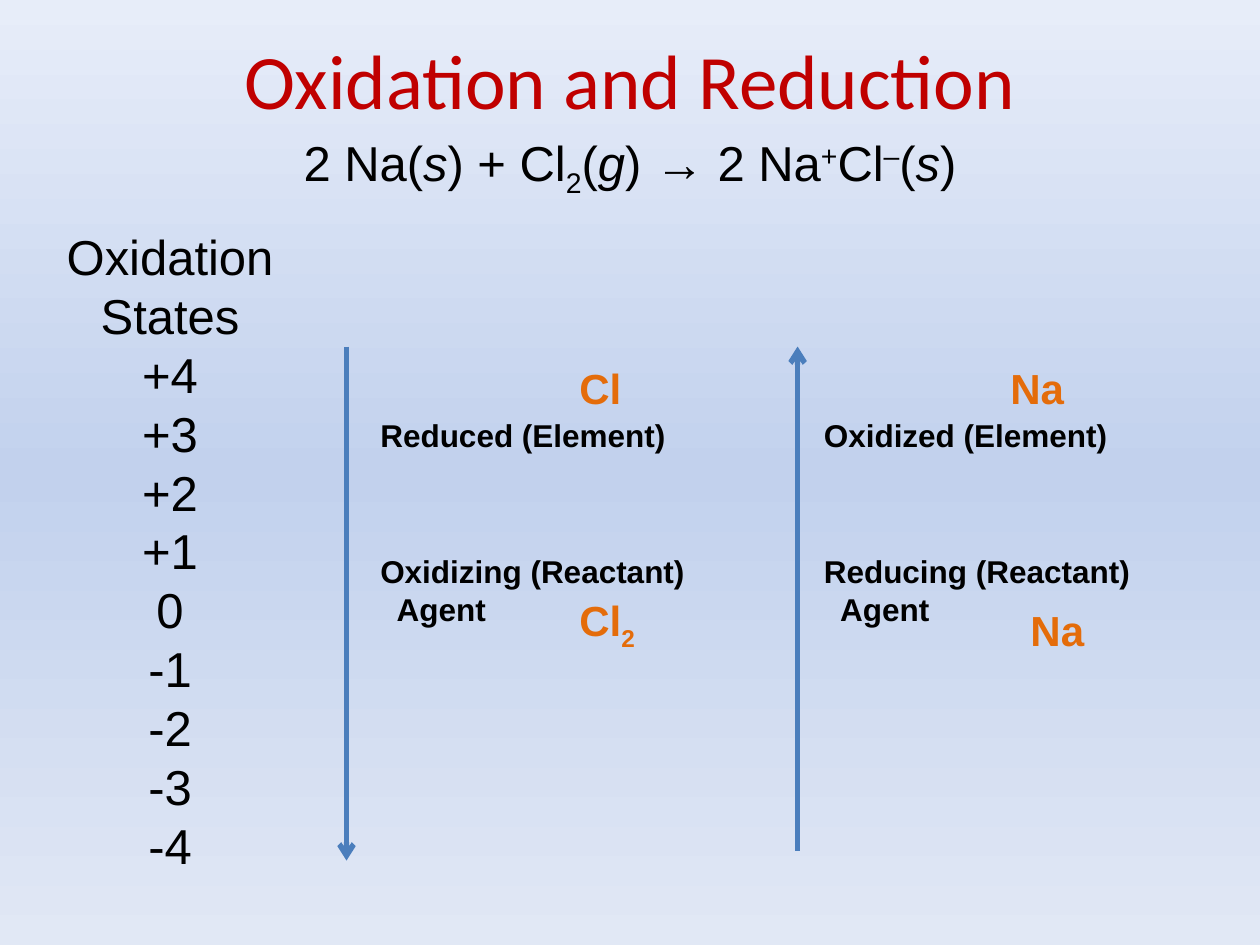
"""Build the Oxidation and Reduction slide."""
from copy import deepcopy

from lxml.etree import SubElement
from pptx import Presentation
from pptx.dml.color import RGBColor
from pptx.enum.shapes import MSO_CONNECTOR as Connector
from pptx.enum.text import MSO_ANCHOR as Anchor, MSO_AUTO_SIZE as AutoSize, PP_ALIGN as Align
from pptx.oxml.ns import qn
from pptx.util import Inches, Pt

COLORS = {
    "title": "C00000",
    "text": "000000",
    "species": "E46C0A",
    "arrow": "4B7EBC",
    "top": "E7EDF9",
    "middle": "C2D1ED",
    "bottom": "E1E8F5",
}
FORMATS = {
    "title": {"name": "Calibri", "size": Pt(44)},
    "body": {"name": "Arial", "size": Pt(28)},
    "label": {"name": "Arial", "size": Pt(18), "bold": True},
    "species": {"name": "Arial", "size": Pt(24), "bold": True},
}
BASELINES = {"sub": "-25000", "super": "30000"}


def add_text(page, place, paragraphs, style, color="text", align=Align.LEFT, wrap=False):
    box = page.shapes.add_textbox(*[Inches(value) for value in place])
    frame = box.text_frame
    frame.word_wrap = wrap
    frame.auto_size = AutoSize.SHAPE_TO_FIT_TEXT
    for index, runs in enumerate(paragraphs):
        para = frame.paragraphs[0] if index == 0 else frame.add_paragraph()
        para.alignment = align
        for text, kind in runs:
            span = para.add_run()
            span.text = text
            for key, value in FORMATS[style].items():
                setattr(span.font, key, value)
            span.font.color.rgb = RGBColor.from_string(COLORS[color])
            if kind == "italic":
                span.font.italic = True
            elif kind in BASELINES:
                span.font._element.set("baseline", BASELINES[kind])
    return frame


def add_arrow(page, x, start, end):
    arrow = page.shapes.add_connector(
        Connector.STRAIGHT, Inches(x), Inches(start), Inches(x), Inches(end))
    arrow.line.color.rgb = RGBColor.from_string(COLORS["arrow"])
    arrow.line.width = Pt(3)
    SubElement(arrow.line._get_or_add_ln(), qn("a:tailEnd"), type="arrow")
    SubElement(arrow._element.spPr, qn("a:effectLst"))


deck = Presentation()
deck.slide_width, deck.slide_height = Inches(10), Inches(7.5)
page = deck.slides.add_slide(deck.slide_layouts[6])

fill = page.background.fill
fill.gradient()
fill.gradient_angle = 270
stop_list = fill._fill._gradFill.gsLst
stop_list.append(deepcopy(stop_list[-1]))
for stop, name, position in zip(fill.gradient_stops, ("top", "middle", "bottom"), (0, 0.5, 1)):
    stop.color.rgb = RGBColor.from_string(COLORS[name])
    stop.position = position

states = ["Oxidation", "States", "+4", "+3", "+2", "+1", "0", "-1", "-2", "-3", "-4"]
add_text(page, (0.42, 1.75, 1.86, 5.28), [[(state, "")] for state in states],
         "body", align=Align.CENTER)

title = add_text(page, (0.75, 0, 8.5, 1.25), [[("Oxidation and Reduction", "")]],
                 "title", "title", Align.CENTER, True)
title.auto_size = AutoSize.NONE
title.vertical_anchor = Anchor.MIDDLE

equation = [
    ("2 Na(", ""), ("s", "italic"), (") + Cl", ""), ("2", "sub"), ("(", ""), ("g", "italic"),
    (") → 2 Na", ""), ("+", "super"), ("Cl", ""), ("–", "super"), ("(", ""),
    ("s", "italic"), (")", ""),
]
add_text(page, (1.96, 1, 6.08, 0.57), [equation], "body", align=Align.CENTER, wrap=True)

add_arrow(page, 2.75, 2.75, 6.83)
add_arrow(page, 6.33, 6.75, 2.75)

for x, change, role in ((2.92, "Reduced", "Oxidizing"), (6.44, "Oxidized", "Reducing")):
    add_text(page, (x, 3.25, 2.49, 0.4), [[(f"{change} (Element)", "")]], "label", wrap=True)
    agent = add_text(page, (x, 4.33, 2.64, 0.71),
                     [[(f"{role} (Reactant)", "")], [("Agent", "")]], "label", wrap=True)
    agent.paragraphs[1]._p.get_or_add_pPr().set("marL", str(Inches(0.13)))

species = [
    (7.92, 2.83, 0.63, [("Na", "")]),
    (4.5, 2.83, 0.54, [("Cl", "")]),
    (8.08, 4.75, 0.63, [("Na", "")]),
    (4.5, 4.67, 0.66, [("Cl", ""), ("2", "sub")]),
]
for x, y, width, runs in species:
    add_text(page, (x, y, width, 0.5), [runs], "species", "species")

deck.save("out.pptx")
